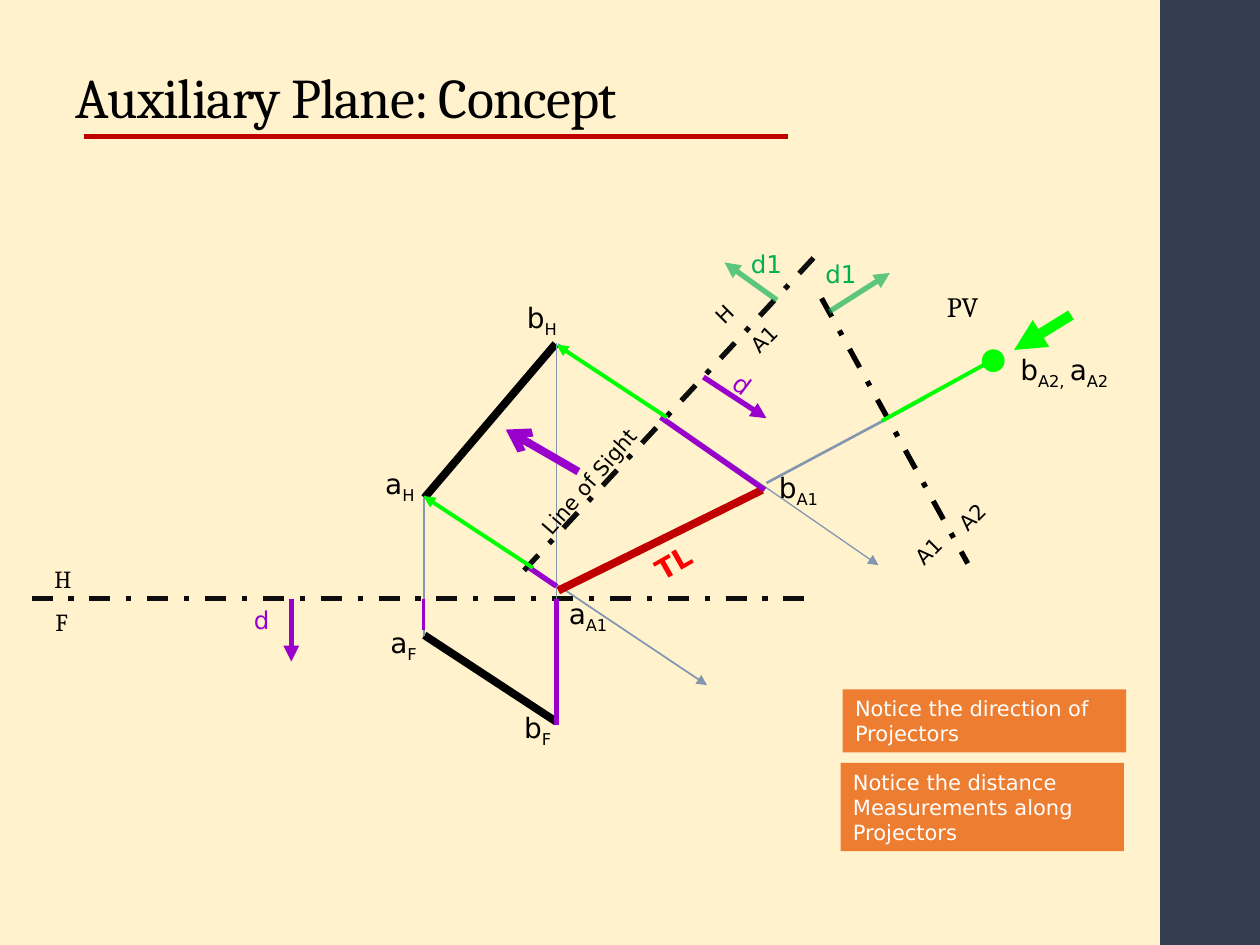
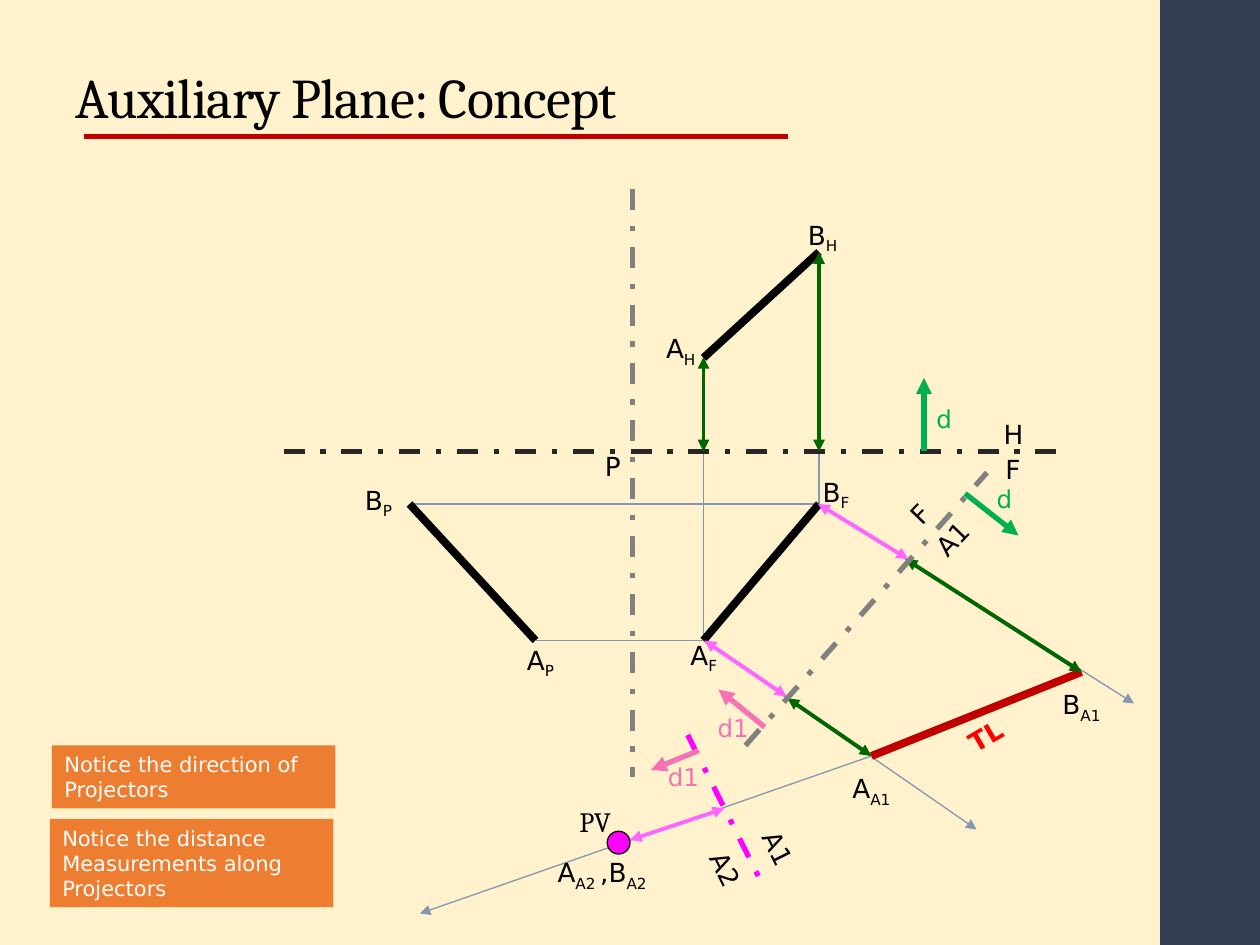
from dataclasses import dataclass

from lxml.etree import SubElement
from pptx import Presentation
from pptx.dml.color import RGBColor
from pptx.enum.dml import MSO_LINE
from pptx.enum.shapes import MSO_CONNECTOR, MSO_SHAPE
from pptx.enum.text import MSO_ANCHOR, MSO_AUTO_SIZE, PP_ALIGN
from pptx.oxml.ns import qn
from pptx.util import Pt


@dataclass(frozen=True)
class Theme:
    # Colours
    paper: str = "FFF2CC"
    band: str = "333F50"
    note: str = "ED7D31"
    white: str = "FFFFFF"
    black: str = "000000"
    axis: str = "0D0D0D"
    axis_soft: str = "262626"
    grey: str = "808080"
    projector: str = "8497B0"
    true_length: str = "C00000"
    red: str = "FF0000"
    purple: str = "9900CC"
    lime: str = "00FF00"
    green: str = "00B050"
    dark_green: str = "006600"
    magenta: str = "FF00FF"
    pink: str = "FF66FF"
    rose: str = "F672B4"
    # Fonts and type sizes
    serif: str = "Cambria"
    sans: str = "DejaVu Sans"
    title: int = 32
    large: int = 16
    medium: int = 15
    small: int = 14
    tiny: int = 12
    # Line widths
    hair: float = 0.75
    thin: float = 1
    mid: float = 2.25
    thick: float = 3
    edge: float = 4.5


T = Theme()


def rgb(value):
    return RGBColor.from_string(value)


def write(tf, text, size, color=T.black, font=T.sans, bold=False,
          spacing=None, leading=None):
    """Write one paragraph; every second part between bars is a subscript."""
    p = tf.paragraphs[0]
    p.alignment = PP_ALIGN.LEFT
    if leading:
        p.line_spacing = leading
    for i, part in enumerate(text.split("|")):
        r = p.add_run()
        r.text = part
        r.font.size, r.font.name, r.font.bold = Pt(size), font, bold
        r.font.color.rgb = rgb(color)
        rpr = r.font._element
        if i % 2:
            rpr.set("baseline", "-25000")
        if spacing:
            rpr.set("spc", str(int(spacing * 100)))


class Drawing:
    def __init__(self):
        self.prs = Presentation()
        self.prs.slide_width, self.prs.slide_height = Pt(720), Pt(540)
        self.s = None

    def slide(self, title):
        self.s = self.prs.slides.add_slide(self.prs.slide_layouts[6])
        fill = self.s.background.fill
        fill.solid()
        fill.fore_color.rgb = rgb(T.paper)
        self.shape(MSO_SHAPE.RECTANGLE, 663, 0, 57, 540, T.band)
        self.lines([(48, 78, 450, 78)], T.true_length)
        tf = self.s.shapes.add_textbox(Pt(36), Pt(6), Pt(572), Pt(72)).text_frame
        tf.word_wrap = True
        tf.vertical_anchor = MSO_ANCHOR.BOTTOM
        write(tf, title, T.title, font=T.serif, spacing=-0.5, leading=0.9)

    def shape(self, kind, x, y, w, h, fill, outline=None):
        sp = self.s.shapes.add_shape(kind, Pt(x), Pt(y), Pt(w), Pt(h))
        sp.shadow.inherit = False
        sp.fill.solid()
        sp.fill.fore_color.rgb = rgb(fill)
        if outline:
            sp.line.color.rgb = rgb(outline)
            sp.line.width = Pt(T.hair)
        else:
            sp.line.fill.background()
        return sp

    def dot(self, x, y, size, fill, outline):
        self.shape(MSO_SHAPE.OVAL, x, y, size, size, fill, outline)

    def lines(self, ends, color, width=T.thick, dashed=False,
              head=None, tail=None, opacity=None):
        for x1, y1, x2, y2 in ends:
            c = self.s.shapes.add_connector(
                MSO_CONNECTOR.STRAIGHT, Pt(x1), Pt(y1), Pt(x2), Pt(y2))
            c.line.color.rgb = rgb(color)
            c.line.width = Pt(width)
            if dashed:
                c.line.dash_style = MSO_LINE.DASH_DOT
            ln = c.line._get_or_add_ln()
            if opacity:
                clr = ln.find(".//" + qn("a:srgbClr"))
                SubElement(clr, qn("a:alpha")).set("val", str(opacity * 1000))
            for tag, arrow in (("a:headEnd", head), ("a:tailEnd", tail)):
                if arrow:
                    SubElement(ln, qn(tag)).set("type", arrow)
            SubElement(c._element.spPr, qn("a:effectLst"))

    def arrows(self, ends, color, width=T.thick, both=False, **fmt):
        self.lines(ends, color, width, tail="triangle",
                   head="triangle" if both else None, **fmt)

    def labels(self, items, size, angle=0, **fmt):
        for text, x, y, w in items:
            box = self.s.shapes.add_textbox(
                Pt(x), Pt(y), Pt(w), Pt(size * 1.2 + 7.2))
            box.rotation = angle
            tf = box.text_frame
            tf.word_wrap = False
            tf.auto_size = MSO_AUTO_SIZE.SHAPE_TO_FIT_TEXT
            write(tf, text, size, **fmt)

    def notes(self, x, y):
        for text, dx, dy, h in (
                ("Notice the direction of Projectors", 0, 0, 36),
                ("Notice the distance Measurements along Projectors", -1.2, 42, 50.4)):
            sp = self.shape(MSO_SHAPE.RECTANGLE, x + dx, y + dy, 162, h, T.note)
            tf = sp.text_frame
            tf.word_wrap = True
            tf.vertical_anchor = MSO_ANCHOR.TOP
            write(tf, text, T.tiny, color=T.white)


def horizontal_auxiliary(d):
    d.slide("Auxiliary Plane: Concept")

    # Horizontal/frontal fold line and the two views of the segment
    d.labels([("F", 24.5, 343.5, 24), ("H", 24, 319, 25)], T.small, font=T.serif)
    d.lines([(18, 342, 468, 342)], T.axis, dashed=True)
    d.lines([(242.5, 284.5, 317.5, 196.5), (242.5, 363, 318, 412.5)],
            T.black, T.edge)

    # Projectors and true length
    d.lines([(242.5, 363.5, 242.5, 284.5), (318, 196, 318, 412)],
            T.projector, T.thin)
    d.arrows([(242.5, 283.5, 404, 391.5)], T.projector, T.thin)
    d.lines([(319, 337.5, 435.5, 280)], T.true_length, T.edge)
    d.arrows([(319, 196.5, 502, 323)], T.projector, T.hair)
    d.lines([(299.5, 326, 468, 144)], T.axis, dashed=True)

    # Distance d
    d.arrows([(166.5, 342, 166.5, 378), (402, 215.5, 438, 239)], T.purple)
    d.labels([("d", 412.5, 208, 24.5)], T.small, angle=37, color=T.purple)
    d.labels([("d", 138, 342, 24.5)], T.small, color=T.purple)
    d.lines([(242, 342, 242, 360)], T.purple, T.mid)
    d.lines([(302.5, 324.5, 318, 335), (318, 342, 318, 414),
             (377.5, 238.5, 437, 280)], T.purple)

    # Point and plane names
    d.labels([("b|H", 294, 168, 32), ("b|F", 292.5, 402.5, 31),
              ("a|H", 213, 263, 32), ("a|F", 216, 354, 30),
              ("a|A1", 318, 337.5, 39), ("b|A1", 438, 265.5, 39),
              ("b|A2, |a|A2", 576, 198, 71)], T.large)
    d.labels([("TL", 367, 308, 36)], T.large, angle=330.2, color=T.red, bold=True)
    d.labels([("H", 402, 168, 24.5), ("A1", 421, 182, 32.5),
              ("A2", 540, 283.5, 32.5), ("A1", 515, 303, 32.5)],
             T.tiny, angle=315)

    # Line of sight
    d.lines([(330.5, 269.5, 289, 245.5)], T.purple, T.edge, tail="arrow")
    d.labels([("Line of Sight", 290, 260.5, 99.5)], T.tiny, angle=311.1)

    d.notes(481.5, 394)

    # Second auxiliary plane and point view
    d.lines([(438, 276, 528, 228)], T.projector, 1.5)
    d.lines([(469.5, 170.5, 553, 322)], T.black, dashed=True)
    d.arrows([(381, 238.5, 318, 197), (304.5, 324.5, 242, 283.5)], T.lime, T.mid)
    d.lines([(504, 240.5, 569.5, 204.5)], T.lime, T.mid)
    d.dot(561.5, 200, 12.25, T.lime, T.lime)
    d.arrows([(612, 180, 579.5, 200)], T.lime, 6)
    d.labels([("PV", 534, 162, 36)], T.large, font=T.serif)

    # Distance d1
    d.arrows([(474, 178, 508.5, 156), (444, 171.5, 414, 150)],
             T.green, opacity=63)
    d.labels([("d1", 464.5, 144.5, 34.5), ("d1", 422, 139, 34.5)],
             T.small, color=T.green)


def frontal_auxiliary(d):
    d.slide("Auxiliary Plane: Concept")

    # Projectors
    d.arrows([(498, 432, 240, 522), (468, 288, 648, 402), (402, 366, 558, 474)],
             T.projector, T.hair)
    d.lines([(234, 288, 468, 288), (468, 288, 468, 144),
             (306, 366, 402, 366), (402, 366, 402, 204)], T.projector, T.hair)

    # Principal fold lines
    d.lines([(361.5, 108, 361.5, 444)], T.grey, dashed=True)
    d.lines([(162, 258, 606, 258)], T.axis_soft, dashed=True)

    # Three views of the segment and its true length
    d.lines([(402, 204.5, 468, 144), (234, 288, 306, 366), (468, 288, 402, 366)],
            T.black, T.edge)
    d.lines([(498, 432, 618, 384)], T.true_length, T.edge)

    # Auxiliary fold lines and measured distances
    d.arrows([(517.5, 319.5, 618, 384), (450, 399, 498, 432)],
             T.dark_green, T.mid, both=True)
    d.lines([(426, 426, 564, 270)], T.grey, dashed=True)
    d.lines([(393, 420, 435, 504)], T.magenta, dashed=True)
    d.arrows([(402, 258, 402, 204), (468, 258, 468, 144)],
             T.dark_green, T.mid, both=True)
    d.arrows([(519, 319.5, 467.5, 288), (449.5, 398, 402.5, 366),
              (414, 462, 360, 480)], T.pink, T.mid, both=True)

    # Point and plane names
    d.labels([("H", 566.5, 235.5, 27.5), ("F", 567.5, 255.5, 24.5),
              ("P", 338.5, 254, 25),
              ("B|H", 454.5, 121.5, 32.5), ("A|H", 373.5, 186.5, 32.5),
              ("B|F", 463, 268.5, 30), ("A|F", 387.5, 361.5, 30),
              ("A|P", 294, 364.5, 31), ("B|P", 201.5, 273, 31),
              ("A|A1", 480, 438, 38), ("B|A1", 600, 390, 38),
              ("A|A2 |,B|A2", 311.5, 486, 76.5)], T.medium)
    d.labels([("F", 514, 281, 23), ("A1", 527, 295, 34.5)], T.medium, angle=313.9)
    d.labels([("TL", 546, 407.5, 34.5)], T.medium, angle=329.7,
             color=T.red, bold=True)
    d.labels([("A1", 427.5, 472.5, 34.5), ("A2", 397.5, 484.5, 34.5)],
             T.medium, angle=63.6)

    # Point view
    d.dot(347, 475, 13, T.magenta, T.black)
    d.labels([("PV", 324, 456, 36)], T.large, font=T.serif)

    d.notes(29.7, 426)

    # Distances d and d1
    d.arrows([(528, 258, 528, 216), (551.5, 282, 582, 306)], T.green)
    d.labels([("d", 528, 227.5, 24.5), ("d", 562.5, 273, 24.5)],
             T.small, color=T.green)
    d.arrows([(399, 429, 372, 440), (437, 415.5, 410.5, 394)], T.rose)
    d.labels([("d1", 374.5, 432, 34.5), ("d1", 403, 404, 34.5)],
             T.small, color=T.rose)


def main():
    d = Drawing()
    horizontal_auxiliary(d)
    frontal_auxiliary(d)
    d.prs.save("out.pptx")


if __name__ == "__main__":
    main()
